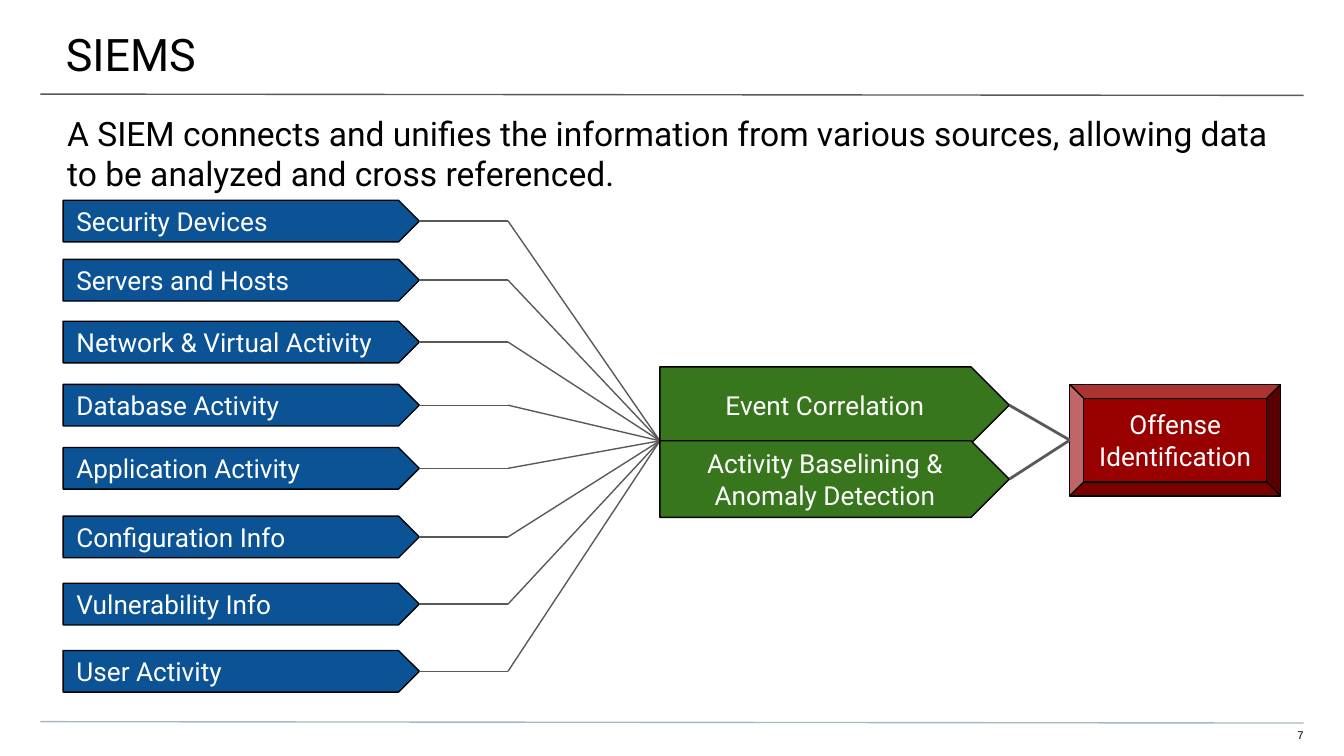
from lxml.etree import SubElement
from pptx import Presentation
from pptx.dml.color import RGBColor
from pptx.enum.shapes import MSO_CONNECTOR, MSO_SHAPE
from pptx.enum.text import MSO_ANCHOR, PP_ALIGN
from pptx.oxml.ns import qn
from pptx.util import Pt

PX = 9144
WIDTH = 1000
COLORS = {
    "black": "000000", "white": "FFFFFF", "gray": "595959", "pale": "A9B7C0",
    "blue": "0B5394", "green": "38761D", "red": "990000",
}
TITLE = "SIEMS"
INTRO = ("A SIEM connects and unifies the information from various sources, "
         "allowing data to be analyzed and cross referenced.")
PAGE = "7"
SOURCES = [
    ("Security Devices", 149),
    ("Servers and Hosts", 193),
    ("Network & Virtual Activity", 239),
    ("Database Activity", 286),
    ("Application Activity", 333),
    ("Configuration Info", 384),
    ("Vulnerability Info", 434),
    ("User Activity", 484),
]
STAGES = [
    ["Event Correlation"],
    ["Activity Baselining &", "Anomaly Detection"],
]
RESULT = ["Offense Identification"]

BAR_X, BAR_W, BAR_H = 47, 265, 31
BEND_X = 378
HUB_X, HUB_Y = 491, 328
STAGE_Y, STAGE_W, STAGE_H, STEP = 273, 260, 57, 55
END_X, END_Y, END_W, END_H = 796, 286, 157, 83

deck = Presentation()
deck.slide_width = WIDTH * PX
deck.slide_height = WIDTH * PX * 9 // 16
slide = deck.slides.add_slide(deck.slide_layouts[6])
shapes = slide.shapes


def color(name):
    return RGBColor.from_string(COLORS[name])


def write(shape, lines, size, tint, inset, align=PP_ALIGN.LEFT,
          anchor=MSO_ANCHOR.TOP, font="Roboto"):
    frame = shape.text_frame
    frame.word_wrap = True
    frame.vertical_anchor = anchor
    (frame.margin_left, frame.margin_top,
     frame.margin_right, frame.margin_bottom) = [n * PX for n in inset]
    frame.text = "\n".join(lines)
    for para in frame.paragraphs:
        para.alignment = align
        para.font.name = font
        para.font.size = Pt(size)
        para.font.color.rgb = color(tint)


def add_text(box, text, size, inset, **style):
    shape = shapes.add_textbox(*[n * PX for n in box])
    write(shape, [text], size, "black", inset, **style)


def add_block(kind, box, lines, fill, align=PP_ALIGN.CENTER):
    shape = shapes.add_shape(kind, *[n * PX for n in box])
    shape.shadow.inherit = False
    shape.fill.solid()
    shape.fill.fore_color.rgb = color(fill)
    shape.line.color.rgb = color("black")
    shape.line.width = Pt(0.75)
    write(shape, lines, 14, "white", (10, 10, 10, 10), align, MSO_ANCHOR.MIDDLE)
    return shape


def add_line(start, end, tint="gray", width=0.75):
    line = shapes.add_connector(
        MSO_CONNECTOR.STRAIGHT, *[round(n * PX) for n in (*start, *end)])
    line.line.color.rgb = color(tint)
    line.line.width = Pt(width)
    SubElement(line._element.spPr, qn("a:effectLst"))
    return line


add_line((30, 70), (970, 71))
add_line((30, 537), (970, 538), "pale")
add_text((-1, 0, 1003, 58), TITLE, 24, (50, 20, 30, 10))
add_text((0, 74, 1000, 72), INTRO, 18, (50, 10, 50, 0))
add_text((941, 542, 29, 12), PAGE, 6, (0, 0, 0, 10),
         align=PP_ALIGN.RIGHT, font="Arial")

for label, top in SOURCES:
    bar = add_block(MSO_SHAPE.PENTAGON, (BAR_X, top, BAR_W, BAR_H),
                    [label], "blue", PP_ALIGN.LEFT)
    mid = top + BAR_H / 2
    add_line((BAR_X + BAR_W, mid), (BEND_X, mid)).begin_connect(bar, 3)
    add_line((BEND_X, mid), (HUB_X, HUB_Y))

add_block(MSO_SHAPE.BEVEL, (END_X, END_Y, END_W, END_H), RESULT, "red")
for i, lines in enumerate(STAGES):
    top = STAGE_Y + i * STEP
    stage = add_block(MSO_SHAPE.PENTAGON, (HUB_X, top, STAGE_W, STAGE_H),
                      lines, "green")
    link = add_line((HUB_X + STAGE_W, top + STAGE_H / 2),
                    (END_X, END_Y + END_H / 2), width=1.5)
    link.begin_connect(stage, 3)

deck.save("out.pptx")
